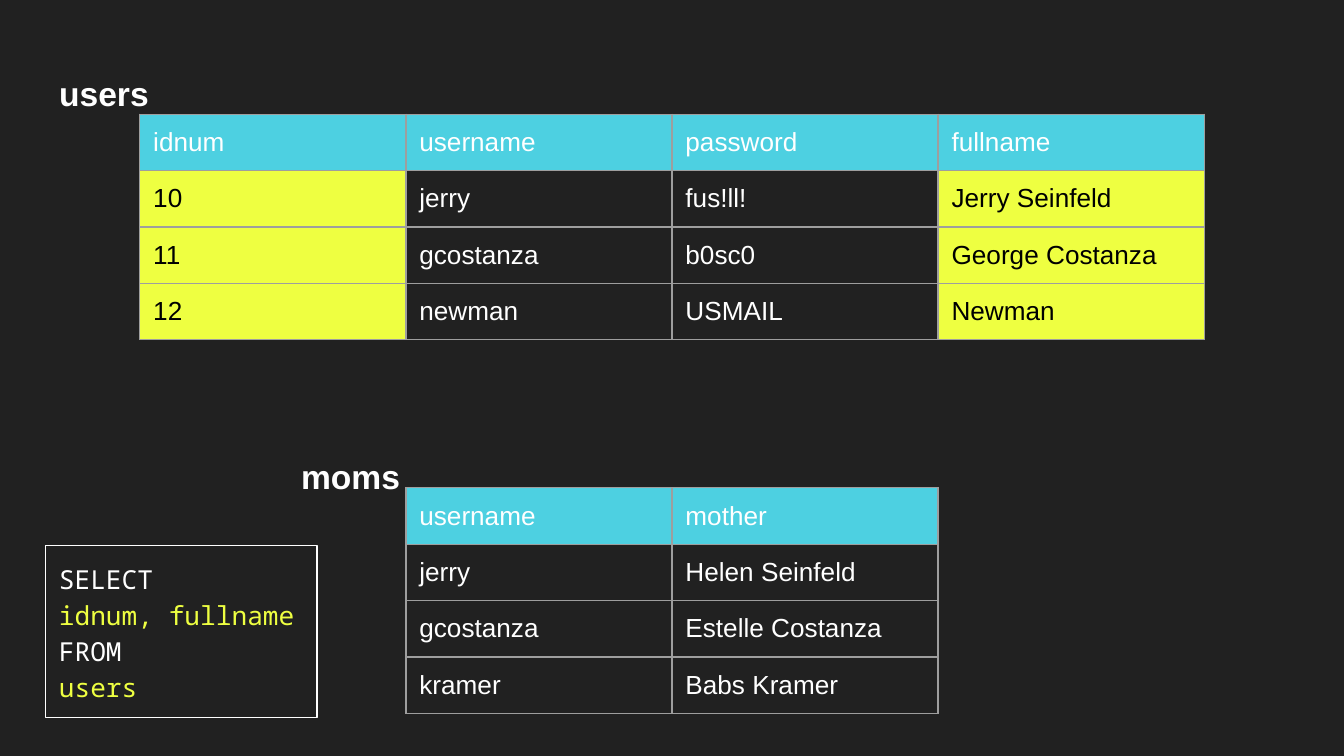
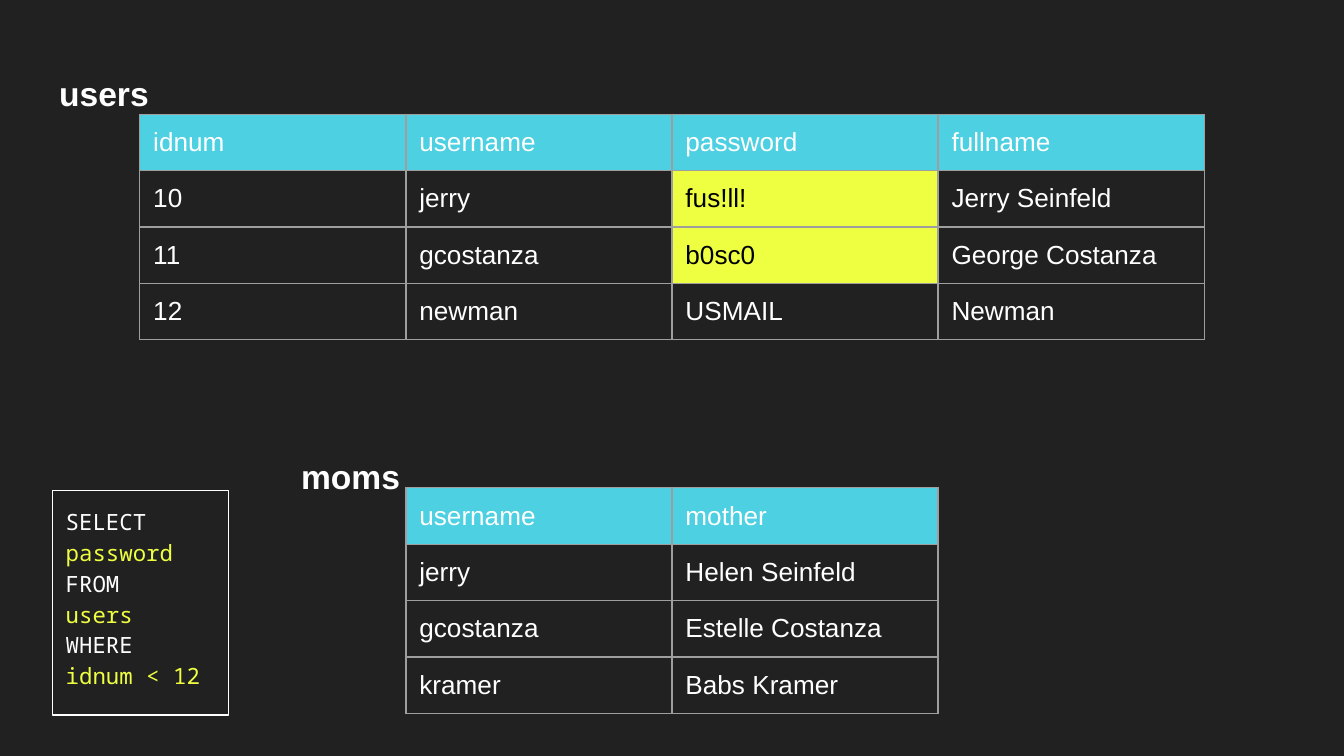
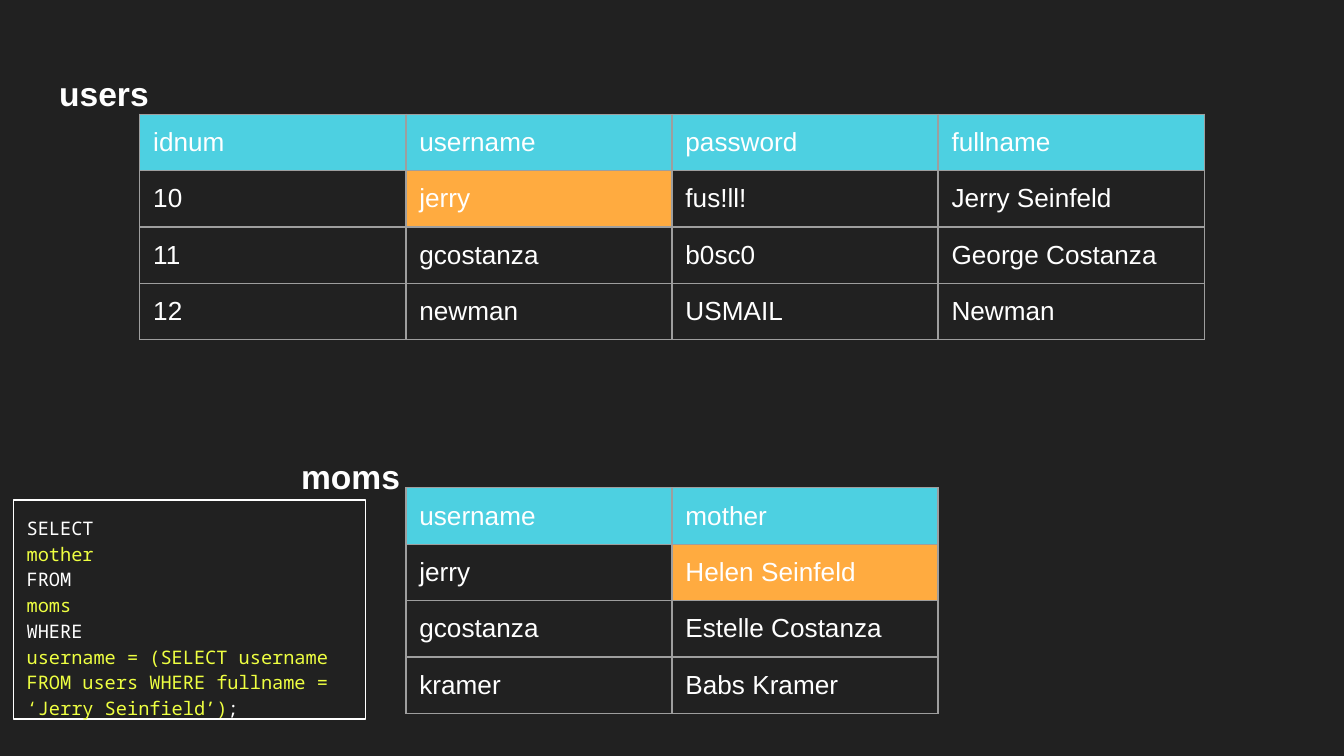
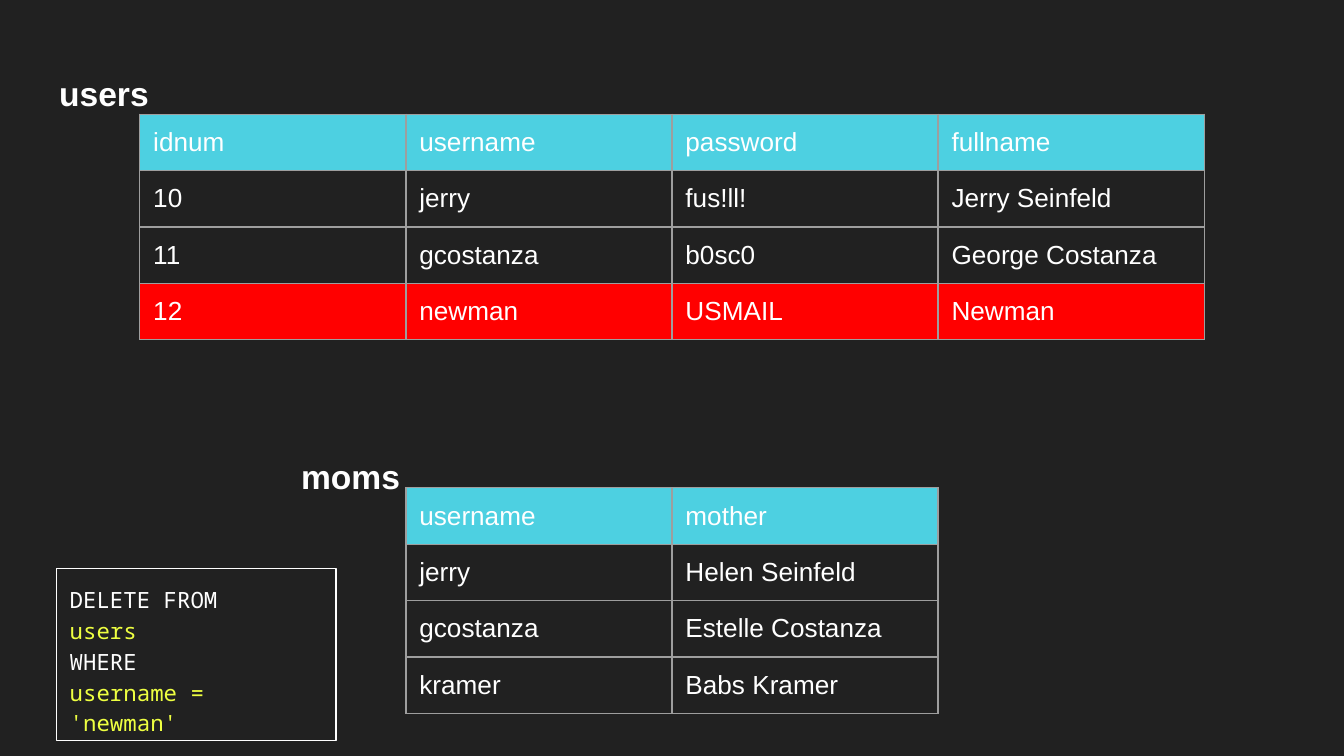
from itertools import product

from lxml.etree import SubElement
from pptx import Presentation
from pptx.dml.color import RGBColor
from pptx.enum.shapes import MSO_SHAPE as SHAPE
from pptx.enum.text import MSO_ANCHOR as ANCHOR, MSO_AUTO_SIZE as AUTO_SIZE, PP_ALIGN as ALIGN
from pptx.oxml.ns import qn
from pptx.util import Inches, Pt

DARK, WHITE, BLACK = "212121", "FFFFFF", "000000"
CYAN, YELLOW, ORANGE, RED = "4DD0E1", "EEFF41", "FFAB40", "FF0000"
GRID = "9E9E9E"
SANS, MONO = "Arial", "Noto Sans Mono"
COLUMN_WIDTH, ROW_HEIGHT, INSET = 1.98, 0.42, 0.1

USERS = [
    ("idnum", "username", "password", "fullname"),
    ("10", "jerry", "fus!ll!", "Jerry Seinfeld"),
    ("11", "gcostanza", "b0sc0", "George Costanza"),
    ("12", "newman", "USMAIL", "Newman"),
]
MOMS = [
    ("username", "mother"),
    ("jerry", "Helen Seinfeld"),
    ("gcostanza", "Estelle Costanza"),
    ("kramer", "Babs Kramer"),
]

# Each query alternates keyword and argument lines; marks map (row, column) to a fill.
QUERIES = [
    dict(box=(0.34, 4.06, 2.02, 1.28), size=14,
         lines=["SELECT", "idnum, fullname", "FROM", "users"],
         users_marks=dict.fromkeys(product((1, 2, 3), (0, 3)), YELLOW)),
    dict(box=(0.39, 3.65, 1.31, 1.67), size=12,
         lines=["SELECT", "password", "FROM", "users", "WHERE", "idnum < 12"],
         users_marks=dict.fromkeys(product((1, 2), (2,)), YELLOW)),
    dict(box=(0.1, 3.72, 2.62, 1.63), size=10,
         lines=["SELECT", "mother", "FROM", "moms", "WHERE",
                "username = (SELECT username FROM users WHERE fullname = ‘Jerry Seinfield’)"],
         ending=";", users_marks={(1, 1): ORANGE}, moms_marks={(1, 1): ORANGE}),
    dict(box=(0.42, 4.23, 2.08, 1.28), size=12,
         lines=["DELETE FROM", "users", "WHERE", "username = 'newman'"],
         users_marks=dict.fromkeys(product((3,), range(4)), RED)),
]


def rgb(value):
    return RGBColor.from_string(value)


def write(paragraph, text, *, size, color=WHITE, font=SANS, bold=False, spacing=None, before=0):
    """Append one formatted run to the paragraph."""
    run = paragraph.add_run()
    run.text = text
    run.font.name, run.font.size, run.font.bold = font, Pt(size), bold
    run.font.color.rgb = rgb(color)
    paragraph.alignment = ALIGN.LEFT
    paragraph.space_before, paragraph.space_after = Pt(before), Pt(0)
    if spacing:
        paragraph.line_spacing = spacing


def set_frame(frame):
    frame.word_wrap = True
    frame.auto_size = AUTO_SIZE.NONE
    frame.vertical_anchor = ANCHOR.TOP
    frame.margin_left = frame.margin_right = Inches(INSET)
    frame.margin_top = frame.margin_bottom = Inches(INSET)


def unbullet(paragraph, indent):
    properties = paragraph._p.get_or_add_pPr()
    properties.set("marL", str(Inches(indent)))
    properties.set("indent", "0")
    SubElement(properties, qn("a:buNone"))


def add_table_names(slide):
    """Put the two table names in the body placeholder, each beside its table."""
    title = slide.shapes.title
    title._element.getparent().remove(title._element)
    body = slide.placeholders[1]
    body.left, body.top, body.width, body.height = map(Inches, (0.34, 0.4, 9.32, 4.15))
    frame = body.text_frame
    set_frame(frame)
    for name, indent, before in (("users", 0, 0), ("moms", 1.8, 180)):
        paragraph = frame.add_paragraph() if indent else frame.paragraphs[0]
        write(paragraph, name, size=18, bold=True, spacing=1.15, before=before)
        unbullet(paragraph, indent)


def set_borders(cell):
    properties = cell._tc.get_or_add_tcPr()
    for side in ("lnL", "lnR", "lnT", "lnB"):
        line = SubElement(properties, qn(f"a:{side}"), w=str(Pt(0.75)))
        SubElement(SubElement(line, qn("a:solidFill")), qn("a:srgbClr"), val=GRID)


def fill_cell(cell, text, fill):
    cell.margin_left = cell.margin_right = Inches(INSET)
    cell.margin_top = cell.margin_bottom = Inches(INSET)
    cell.vertical_anchor = ANCHOR.TOP
    set_borders(cell)
    if fill:
        cell.fill.solid()
        cell.fill.fore_color.rgb = rgb(fill)
    else:
        cell.fill.background()
    write(cell.text_frame.paragraphs[0], text, size=14,
          color=BLACK if fill == YELLOW else WHITE)


def add_data_table(slide, rows, left, top, marks):
    columns = len(rows[0])
    table = slide.shapes.add_table(
        len(rows), columns, Inches(left), Inches(top),
        Inches(columns * COLUMN_WIDTH), Inches(len(rows) * ROW_HEIGHT)).table
    table.first_row = table.horz_banding = False
    for column in table.columns:
        column.width = Inches(COLUMN_WIDTH)
    for r, row in enumerate(rows):
        table.rows[r].height = Inches(ROW_HEIGHT)
        for c, text in enumerate(row):
            fill_cell(table.cell(r, c), text, marks.get((r, c)) if r else CYAN)


def add_query(slide, box, size, lines, ending=""):
    query = slide.shapes.add_shape(SHAPE.RECTANGLE, *map(Inches, box))
    query.shadow.inherit = False
    query.fill.background()
    query.line.color.rgb = rgb(WHITE)
    query.line.width = Pt(0.75)
    frame = query.text_frame
    set_frame(frame)
    style = dict(size=size, font=MONO, spacing=1.15)
    for number, line in enumerate(lines):
        paragraph = frame.add_paragraph() if number else frame.paragraphs[0]
        write(paragraph, line, color=YELLOW if number % 2 else WHITE, **style)
    if ending:
        write(paragraph, ending, **style)


def add_query_slide(deck, users_marks, moms_marks=None, **query):
    slide = deck.slides.add_slide(deck.slide_layouts.get_by_name("Title and Content"))
    add_table_names(slide)
    add_data_table(slide, USERS, 1.04, 0.85, users_marks)
    add_data_table(slide, MOMS, 3.02, 3.63, moms_marks or {})
    add_query(slide, **query)


def main():
    deck = Presentation()
    deck.slide_width = Inches(10)
    deck.slide_height = deck.slide_width * 9 // 16
    background = deck.slide_master.background.fill
    background.solid()
    background.fore_color.rgb = rgb(DARK)
    for query in QUERIES:
        add_query_slide(deck, **query)
    deck.save("out.pptx")


if __name__ == "__main__":
    main()
